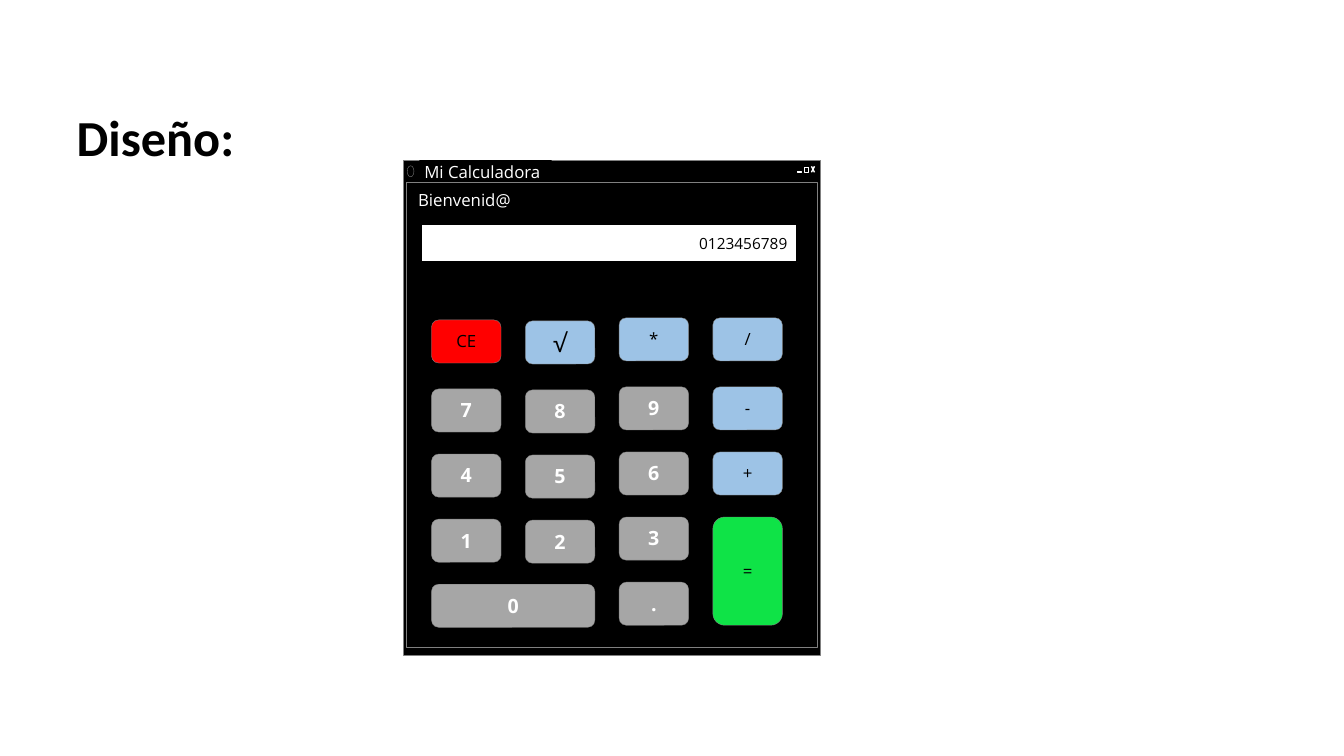
from lxml.etree import SubElement
from pptx import Presentation
from pptx.dml.color import RGBColor
from pptx.enum.shapes import MSO_CONNECTOR, MSO_SHAPE
from pptx.enum.text import MSO_ANCHOR, MSO_AUTO_SIZE, PP_ALIGN
from pptx.oxml.ns import qn
from pptx.util import Pt

BLACK = RGBColor(0x00, 0x00, 0x00)
WHITE = RGBColor(0xFF, 0xFF, 0xFF)
EDGE = RGBColor(0x80, 0x80, 0x80)
DIGIT = RGBColor(0xA6, 0xA6, 0xA6)
OPERATOR = RGBColor(0x9D, 0xC3, 0xE6)
CLEAR = RGBColor(0xFF, 0x00, 0x00)
EQUALS = RGBColor(0x0F, 0xE3, 0x47)


def add_block(shapes, preset, box, fill, edge=EDGE, weight=0.25):
    block = shapes.add_shape(preset, *map(Pt, box))
    block.shadow.inherit = False
    block.fill.solid()
    block.fill.fore_color.rgb = fill
    if edge is None:
        block.line.fill.background()
    else:
        block.line.color.rgb = edge
        block.line.width = Pt(weight)
    return block


def write(holder, text, color, font_values, frame_values, align=PP_ALIGN.LEFT):
    frame = holder.text_frame
    paragraph = frame.paragraphs[0]
    paragraph.alignment = align
    run = paragraph.add_run()
    run.text = text
    run.font.color.rgb = color
    for target, values in ((run.font, font_values), (frame, frame_values)):
        for name, value in values.items():
            setattr(target, name, value)


LABEL_FONT = {"name": "Open Sans", "size": Pt(12), "bold": False}
DIGIT_FONT = LABEL_FONT | {"size": Pt(14), "bold": True}
MIDDLE = {"word_wrap": True, "vertical_anchor": MSO_ANCHOR.MIDDLE}
LABEL_FRAME = MIDDLE | {"margin_top": Pt(1.4), "margin_bottom": Pt(2.2)}
KEY_FRAME = MIDDLE | {"margin_top": Pt(0), "margin_bottom": Pt(0.7)}

deck = Presentation()
deck.slide_width, deck.slide_height = Pt(960), Pt(540)
slide = deck.slides.add_slide(deck.slide_layouts[6])

heading = slide.shapes.add_textbox(Pt(47.7), Pt(72), Pt(128), Pt(51))
write(heading, "Diseño:", BLACK, {"name": "Calibri", "size": Pt(36), "bold": True},
      {"word_wrap": False, "auto_size": MSO_AUTO_SIZE.SHAPE_TO_FIT_TEXT})

window = slide.shapes.add_group_shape().shapes
add_block(window, MSO_SHAPE.RECTANGLE, (288.2, 114.6, 297.8, 353.4), BLACK)
caption = add_block(window, MSO_SHAPE.RECTANGLE, (299.5, 114.3, 94.5, 18), BLACK, None)
write(caption, "Mi Calculadora", WHITE, LABEL_FONT, LABEL_FRAME | {"margin_left": Pt(3.6)})
add_block(window, MSO_SHAPE.RECTANGLE, (290.3, 130.4, 293.3, 332), BLACK)
for start_y, end_y in ((118.8, 123.1), (123.1, 118.8)):
    close_stroke = window.add_connector(
        MSO_CONNECTOR.STRAIGHT, Pt(579.6), Pt(start_y), Pt(581.8), Pt(end_y))
    close_stroke.line.color.rgb = WHITE
    close_stroke.line.width = Pt(1)
    SubElement(close_stroke._element.spPr, qn("a:effectLst"))
for box, weight in (((574.6, 119.5, 2.9, 0.6), 0.25),
                    ((574.6, 119.5, 2.9, 3.6), 1),
                    ((569.5, 122.6, 2.9, 0.6), 0.25)):
    add_block(window, MSO_SHAPE.RECTANGLE, box, BLACK, WHITE, weight)
add_block(window, MSO_SHAPE.OVAL, (290.9, 118.4, 4.8, 7.9), BLACK)

display = add_block(slide.shapes, MSO_SHAPE.RECTANGLE, (301, 160.2, 268.6, 27), WHITE, BLACK, 1.5)
write(display, "0123456789", BLACK, LABEL_FONT | {"size": Pt(11)}, MIDDLE, PP_ALIGN.RIGHT)

greeting = slide.shapes.add_textbox(Pt(291.6), Pt(133.9), Pt(83.5), Pt(18.7))
write(greeting, "Bienvenid@", WHITE, LABEL_FONT, LABEL_FRAME)

KEY_LEFT, KEY_WIDTH, KEY_HEIGHT = 308.2, 49.7, 30.8
COLUMN_STEP, ROW_STEP = 67, 46.5
ROW_TOPS = [227] + [276.3 + ROW_STEP * row for row in range(4)]
COLUMN_DROPS = [1.5, 2.2, 0, 0]
KEY_ROWS = ["C√*/", "789-", "456+", "123=", "0 ."]
KEY_FILLS = {"C": CLEAR, "=": EQUALS} | dict.fromkeys("√*/-+", OPERATOR)

for row_top, keys in zip(ROW_TOPS, KEY_ROWS):
    for column, (key, drop) in enumerate(zip(keys, COLUMN_DROPS)):
        if key == " ":
            continue
        width = KEY_WIDTH + (COLUMN_STEP if key == "0" else 0)
        height = KEY_HEIGHT + (ROW_STEP if key == "=" else 0)
        button = add_block(slide.shapes, MSO_SHAPE.ROUNDED_RECTANGLE,
                           (KEY_LEFT + COLUMN_STEP * column, row_top + drop, width, height),
                           KEY_FILLS.get(key, DIGIT))
        font = LABEL_FONT if key in KEY_FILLS else DIGIT_FONT
        if key == "√":
            font = font | {"size": Pt(18)}
        write(button, "CE" if key == "C" else key, BLACK if key in KEY_FILLS else WHITE,
              font, KEY_FRAME, PP_ALIGN.CENTER)

deck.save("out.pptx")
